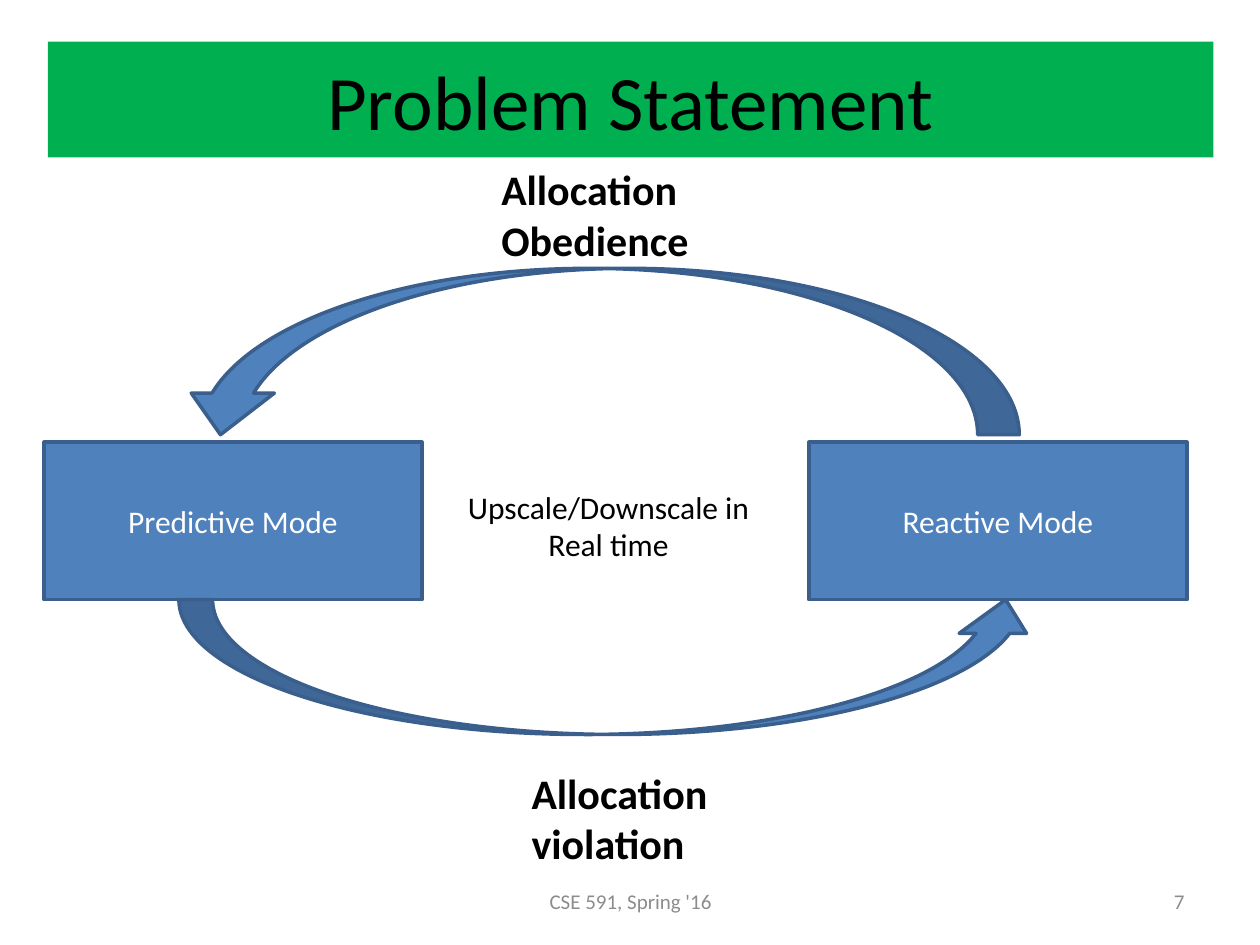
from dataclasses import dataclass
from typing import Optional

from pptx import Presentation
from pptx.dml.color import RGBColor
from pptx.enum.shapes import MSO_SHAPE
from pptx.enum.text import MSO_ANCHOR, PP_ALIGN
from pptx.oxml.ns import qn
from pptx.util import Inches, Pt

FONT = "Calibri"
BLACK, WHITE, GRAY = "000000", "FFFFFF", "8C8C8C"
GREEN, BLUE, DARK_BLUE = "00B050", "4F81BD", "3A5F8C"
MODE_TOP, MODE_WIDTH, MODE_HEIGHT = 3.51, 3, 1.25
MODE_BOTTOM = MODE_TOP + MODE_HEIGHT


@dataclass(frozen=True)
class Area:
    """A rectangle on the slide, in inches."""
    left: float
    top: float
    width: float
    height: float

    def lengths(self):
        """Return the four measures as slide lengths."""
        return [Inches(n) for n in (self.left, self.top, self.width, self.height)]


@dataclass(frozen=True)
class Label:
    """Wording with its look."""
    text: str
    size: int
    color: str = BLACK
    align: PP_ALIGN = PP_ALIGN.CENTER
    anchor: MSO_ANCHOR = MSO_ANCHOR.MIDDLE
    bold: bool = False


def rgb(value: str) -> RGBColor:
    """Turn a hex string into a colour."""
    return RGBColor.from_string(value)


def write(shape, label: Label) -> None:
    """Put a label into a shape or text box."""
    frame = shape.text_frame
    frame.word_wrap = True
    frame.vertical_anchor = label.anchor
    para = frame.paragraphs[0]
    para.alignment = label.align
    span = para.add_run()
    span.text = label.text
    font = span.font
    font.name, font.size, font.bold = FONT, Pt(label.size), label.bold
    font.color.rgb = rgb(label.color)


def add_text(page, area: Area, label: Label) -> None:
    """Add a text box."""
    write(page.shapes.add_textbox(*area.lengths()), label)


def add_figure(page, kind: MSO_SHAPE, area: Area, fill: str = BLUE,
               line: Optional[str] = DARK_BLUE, label: Optional[Label] = None,
               flip: Optional[str] = None) -> None:
    """Add a filled preset shape, with optional outline, label and flip."""
    shape = page.shapes.add_shape(kind, *area.lengths())
    shape.shadow.inherit = False
    shape.fill.solid()
    shape.fill.fore_color.rgb = rgb(fill)
    if line:
        shape.line.color.rgb = rgb(line)
        shape.line.width = Pt(2)
    else:
        shape.line.fill.background()
    if flip:
        shape.element.spPr.find(qn("a:xfrm")).set(flip, "1")
    if label:
        write(shape, label)


MODES = [(0.35, "Predictive Mode"), (6.42, "Reactive Mode")]
ARROWS = [
    (Area(1.42, MODE_BOTTOM, 6.83, 1.07), "flipV"),
    (Area(1.42, 2.13, 6.67, 1.32), "flipH"),
]
TRANSITIONS = [
    (Area(3.88, 1.25, 1.75, 0.91), "Allocation Obedience"),
    (Area(4.12, 6.04, 1.75, 0.91), "Allocation violation"),
]
FOOTERS = [
    (Area(3.42, 6.95, 3.17, 0.4), "CSE 591, Spring '16", PP_ALIGN.CENTER),
    (Area(7.17, 6.95, 2.33, 0.4), "7", PP_ALIGN.RIGHT),
]


def build() -> None:
    """Build and save the slide."""
    deck = Presentation()
    deck.slide_width, deck.slide_height = Inches(10), Inches(7.5)
    page = deck.slides.add_slide(deck.slide_layouts[6])

    for area, text, align in FOOTERS:
        add_text(page, area, Label(text, 12, GRAY, align))
    add_figure(page, MSO_SHAPE.RECTANGLE, Area(0.38, 0.33, 9.25, 0.92), GREEN,
               None, Label("Problem Statement", 44))
    for left, text in MODES:
        add_figure(page, MSO_SHAPE.RECTANGLE,
                   Area(left, MODE_TOP, MODE_WIDTH, MODE_HEIGHT),
                   label=Label(text, 18, WHITE))
    for area, flip in ARROWS:
        add_figure(page, MSO_SHAPE.CURVED_DOWN_ARROW, area, flip=flip)
    for area, text in TRANSITIONS:
        add_text(page, area, Label(text, 24, align=PP_ALIGN.LEFT,
                                   anchor=MSO_ANCHOR.TOP, bold=True))
    add_text(page, Area(3.58, 3.82, 2.5, 0.71),
             Label("Upscale/Downscale in Real time", 18, anchor=MSO_ANCHOR.TOP))
    deck.save("out.pptx")


build()
